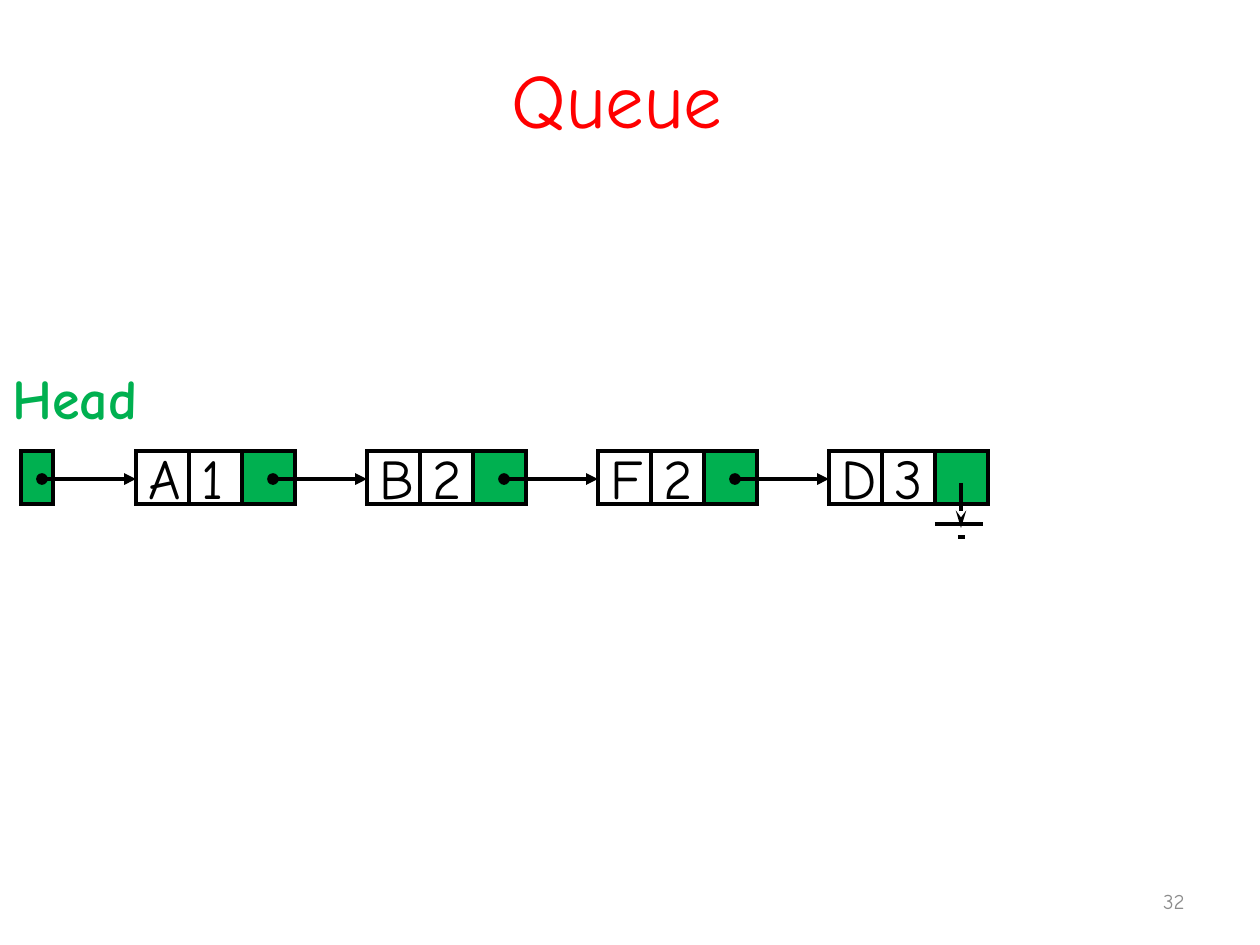
from pptx import Presentation
from pptx.dml.color import RGBColor
from pptx.enum.shapes import MSO_CONNECTOR, MSO_SHAPE
from pptx.enum.text import MSO_ANCHOR, PP_ALIGN
from pptx.oxml.ns import qn
from pptx.util import Inches, Pt
from lxml.etree import SubElement

TITLE, LABEL, NUMBER = "Queue ", "Head ", "32"
NODES = [("A", "1"), ("B", "2"), ("F", "2"), ("D", "3")]
ORDER = (1, 0, 2)
GROUND = [  # from x, y, to x, y, arrowhead
    (961, 483, 961, 528, "stealth"),
    (935, 524, 983, 524, None),
    (958, 537, 965, 537, None),
]
THEME = {
    "font": "Comic Neue", "red": "FF0000", "green": "00B050",
    "black": "000000", "grey": "8C8C8C",
    "title": 44, "text": 32, "small": 12, "edge": 2.25, "thin": 2,
}
LEFT, TOP, CELL, PITCH = 136, 451, 53, 231
ARROW_Y, REACH, INSET = 479, 94, 31
SCALE = Inches(1) / 126


def px(*nums):
    """Turn picture pixels into EMU."""
    return [round(n * SCALE) for n in nums]


def tint(name):
    """Give a theme colour."""
    return RGBColor.from_string(THEME[name])


def write(shape, text, size, color, align=None, anchor=MSO_ANCHOR.MIDDLE,
          bold=None, wrap=True):
    """Put one styled line of text into a shape."""
    frame = shape.text_frame
    frame.word_wrap, frame.vertical_anchor = wrap, anchor
    frame.text = text
    para = frame.paragraphs[0]
    para.alignment = align
    font = para.font
    font.name, font.size, font.bold = THEME["font"], Pt(THEME[size]), bold
    font.color.rgb = tint(color)


def stroke(shape, width):
    """Give a shape a black, sharp-cornered line."""
    shape.line.color.rgb = tint("black")
    shape.line.width = Pt(THEME[width])
    props = shape.line._get_or_add_ln()
    SubElement(props, qn("a:miter")).set("lim", "800000")
    return props


def box(x, wide, text=None):
    """Draw a cell: open with text, or green for a pointer."""
    cell = shapes.add_shape(MSO_SHAPE.RECTANGLE, *px(x, TOP, wide, CELL))
    cell.shadow.inherit = False
    if text:
        cell.fill.background()
        write(cell, text, "text", "black", PP_ALIGN.LEFT, wrap=False)
    else:
        cell.fill.solid()
        cell.fill.fore_color.rgb = tint("green")
    stroke(cell, "edge")


def link(ends, width, head=None, tail=None):
    """Draw a black line with optional end marks."""
    line = shapes.add_connector(MSO_CONNECTOR.STRAIGHT, *px(*ends))
    props = stroke(line, width)
    for tag, kind in (("a:headEnd", head), ("a:tailEnd", tail)):
        if kind:
            mark = SubElement(props, qn(tag))
            mark.set("type", kind)
            if kind == "stealth":
                mark.set("len", "lg")
    SubElement(line._element.spPr, qn("a:effectLst"))


deck = Presentation()
deck.slide_width, deck.slide_height = Inches(10), Inches(7.5)
slide = deck.slides.add_slide(deck.slide_layouts[5])
shapes = slide.shapes

title = shapes.title
title.left, title.top, title.width, title.height = px(63, 38, 1134, 120)
write(title, TITLE, "title", "red", PP_ALIGN.CENTER)
page = shapes.add_textbox(*px(903, 876, 294, 50))
write(page, NUMBER, "small", "grey", PP_ALIGN.RIGHT)

for i, pair in enumerate(NODES):
    cells = (*pair, None)
    for j in ORDER:
        box(LEFT + i * PITCH + j * CELL, CELL, cells[j])

box(21, 32)
starts = [LEFT + i * PITCH + 2 * CELL + INSET
          for i in range(len(NODES) - 1)] + [42]
for x in starts:
    link((x, ARROW_Y, x + REACH, ARROW_Y), "edge", "oval", "triangle")

for *ends, tip in GROUND:
    link(ends, "thin", tail=tip)

head = shapes.add_textbox(*px(0, 357, 252, 81))
write(head, LABEL, "text", "green", anchor=MSO_ANCHOR.TOP, bold=True)

deck.save("out.pptx")
